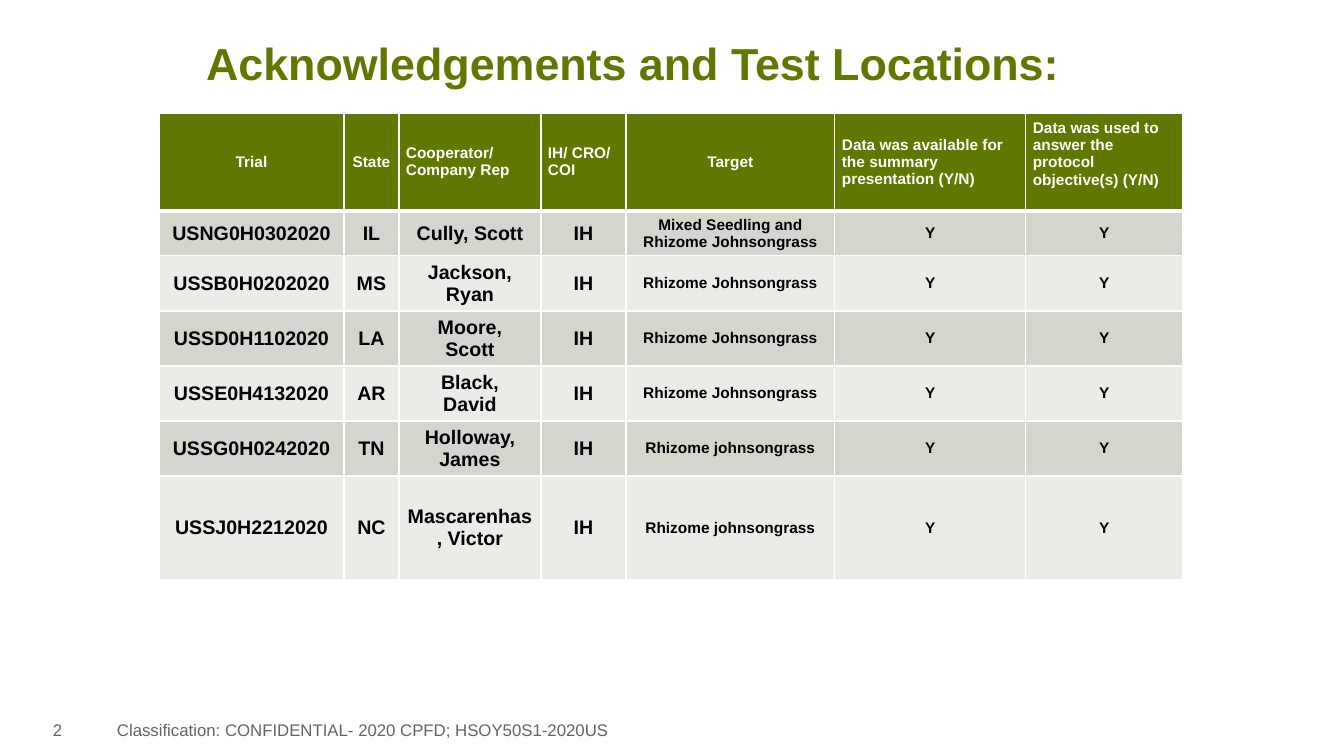
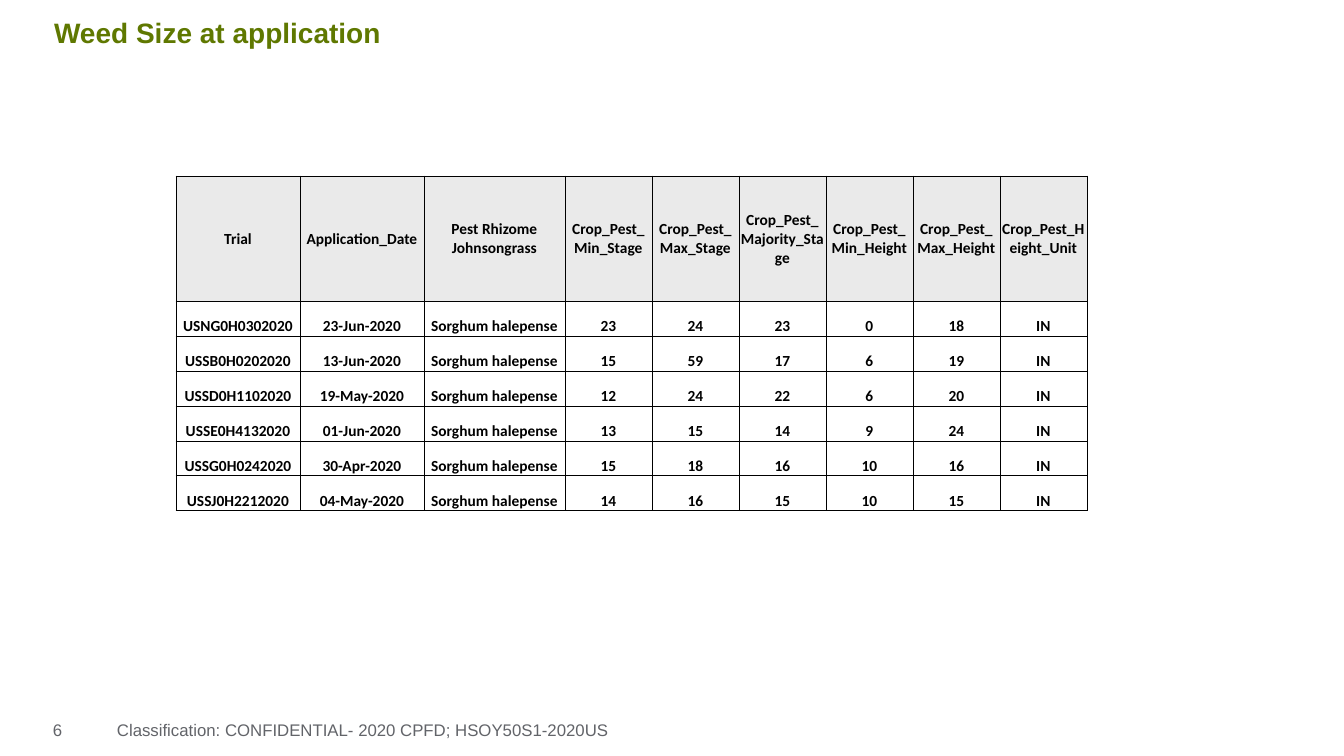
from lxml.etree import SubElement
from pptx import Presentation
from pptx.dml.color import RGBColor
from pptx.enum.text import MSO_ANCHOR as ANCHOR, MSO_AUTO_SIZE as AUTOSIZE, PP_ALIGN as ALIGN
from pptx.oxml.ns import qn
from pptx.util import Emu, Pt

PX = 914400 / 100.8
GREEN, GRAY, WHITE, BLACK = "5F7800", "626469", "FFFFFF", "000000"
BAND_DARK, BAND_LIGHT, HEADER_GRAY = "D2D6CC", "EAECE7", "EAEAEA"
CLASSIFICATION = "Classification: CONFIDENTIAL- 2020 CPFD; HSOY50S1-2020US"

LOCATION_HEADER = (
    "Trial", "State", "Cooperator/\nCompany Rep", "IH/ CRO/ COI", "Target",
    "Data was available for the summary presentation (Y/N)",
    "Data was used to answer the protocol objective(s) (Y/N)",
)
LOCATIONS = [
    ("USNG0H0302020", "IL", "Cully, Scott", "Mixed Seedling and Rhizome Johnsongrass"),
    ("USSB0H0202020", "MS", "Jackson,\vRyan", "Rhizome Johnsongrass"),
    ("USSD0H1102020", "LA", "Moore,\vScott", "Rhizome Johnsongrass"),
    ("USSE0H4132020", "AR", "Black,\vDavid", "Rhizome Johnsongrass"),
    ("USSG0H0242020", "TN", "Holloway,\vJames", "Rhizome johnsongrass"),
    ("USSJ0H2212020", "NC", "Mascarenhas, Victor", "Rhizome johnsongrass"),
]
WEED_HEADER = (
    "Trial", "Application_Date", "Pest Rhizome Johnsongrass",
    "Crop_Pest_Min_Stage", "Crop_Pest_Max_Stage", "Crop_Pest_Majority_Stage",
    "Crop_Pest_Min_Height", "Crop_Pest_Max_Height", "Crop_Pest_Height_Unit",
)
WEED_SIZES = [
    ("23-Jun-2020", 23, 24, 23, 0, 18),
    ("13-Jun-2020", 15, 59, 17, 6, 19),
    ("19-May-2020", 12, 24, 22, 6, 20),
    ("01-Jun-2020", 13, 15, 14, 9, 24),
    ("30-Apr-2020", 15, 18, 16, 10, 16),
    ("04-May-2020", 14, 16, 15, 10, 15),
]


def px(length):
    return Emu(round(length * PX))


def rgb(color):
    return RGBColor.from_string(color)


def style_text(frame, size, color, bold=False, font="Arial", align=ALIGN.LEFT):
    for paragraph in frame.paragraphs:
        paragraph.alignment = align
        for run in paragraph.runs:
            run.font.name = font
            run.font.size = Pt(size)
            run.font.bold = bold
            run.font.color.rgb = rgb(color)


def set_margins(target, left, top, right, bottom):
    target.margin_left, target.margin_top = px(left), px(top)
    target.margin_right, target.margin_bottom = px(right), px(bottom)


def add_footer_text(slide, text, left, width, inset):
    frame = slide.shapes.add_textbox(px(left), px(715), px(width), px(41)).text_frame
    frame.word_wrap = True
    set_margins(frame, inset, 5, 10, 5)
    frame.text = text
    frame.paragraphs[0].space_after = Pt(6)
    style_text(frame, 12, GRAY)


def add_slide(prs, title, number, box, size):
    slide = prs.slides.add_slide(prs.slide_layouts[5])
    heading = slide.shapes.title
    heading.left, heading.top, heading.width, heading.height = map(px, box)
    frame = heading.text_frame
    frame.text = title
    frame.auto_size = AUTOSIZE.NONE
    frame.vertical_anchor = ANCHOR.MIDDLE
    set_margins(frame, 0, 0, 0, 0)
    frame.paragraphs[0].line_spacing = 0.9
    style_text(frame, size, GREEN, bold=True)
    add_footer_text(slide, str(number), 43, 82, 10)
    add_footer_text(slide, CLASSIFICATION, 117, 846, 0)
    return slide


def set_borders(cell, color, widths):
    properties = cell._tc.get_or_add_tcPr()
    for side, width in zip("LRTB", widths):
        line = SubElement(properties, qn(f"a:ln{side}"), w=str(Pt(width)))
        SubElement(SubElement(line, qn("a:solidFill")), qn("a:srgbClr"), val=color)


def add_table(slide, left, top, widths, heights, rows):
    table = slide.shapes.add_table(
        len(rows), len(widths), px(left), px(top), px(sum(widths)), px(sum(heights))
    ).table
    table.first_row = table.horz_banding = False
    for column, width in zip(table.columns, widths):
        column.width = px(width)
    for row, height in zip(table.rows, heights):
        row.height = px(height)
    for r, values in enumerate(rows):
        for c, value in enumerate(values):
            table.cell(r, c).text = str(value)
    return table


def each_cell(table):
    for r, row in enumerate(table.rows):
        for c, cell in enumerate(row.cells):
            yield r, c, cell


def add_locations(slide):
    rows = [LOCATION_HEADER]
    rows += [(trial, state, rep, "IH", target, "Y", "Y")
             for trial, state, rep, target in LOCATIONS]
    table = add_table(slide, 159, 113, [185, 55, 142, 85, 209, 191, 157],
                      [93, 41] + [51] * 4 + [104], rows)
    centered_headings = (0, 1, 4)
    for r, c, cell in each_cell(table):
        is_header = r == 0
        set_borders(cell, WHITE, (1, 1, 3 if r == 1 else 1, 3 if is_header else 1))
        set_margins(cell, 7, 4, 7, 4)
        cell.vertical_anchor = ANCHOR.MIDDLE
        cell.fill.solid()
        band = BAND_DARK if r % 2 else BAND_LIGHT
        cell.fill.fore_color.rgb = rgb(GREEN if is_header else band)
        style_text(
            cell.text_frame,
            11 if is_header or c > 3 else 14,
            WHITE if is_header else BLACK,
            bold=True,
            align=ALIGN.LEFT if is_header and c not in centered_headings else ALIGN.CENTER,
        )
    table.cell(0, 6).margin_bottom = px(20)


def add_weed_sizes(slide):
    rows = [WEED_HEADER]
    rows += [(location[0], date, "Sorghum halepense", *sizes, "IN")
             for location, (date, *sizes) in zip(LOCATIONS, WEED_SIZES)]
    table = add_table(slide, 176, 176, [124, 124, 141] + [87] * 6,
                      [125] + [35] * 6, rows)
    for r, c, cell in each_cell(table):
        set_borders(cell, BLACK, [0.5] * 4)
        set_margins(cell, 1, 1, 1, 0)
        if r == 0:
            cell.vertical_anchor = ANCHOR.MIDDLE
            cell.fill.solid()
            cell.fill.fore_color.rgb = rgb(HEADER_GRAY)
        else:
            cell.vertical_anchor = ANCHOR.BOTTOM
            cell.fill.background()
        style_text(cell.text_frame, 11, BLACK, bold=True, font="Calibri", align=ALIGN.CENTER)


def main():
    prs = Presentation()
    prs.slide_width, prs.slide_height = px(1344), px(756)
    add_locations(add_slide(prs, "Acknowledgements and Test Locations:", 2,
                            (206, 42, 932, 49), 32))
    add_weed_sizes(add_slide(prs, "Weed Size at application", 6,
                             (54, 10, 1243, 49), 20))
    prs.save("out.pptx")


if __name__ == "__main__":
    main()
